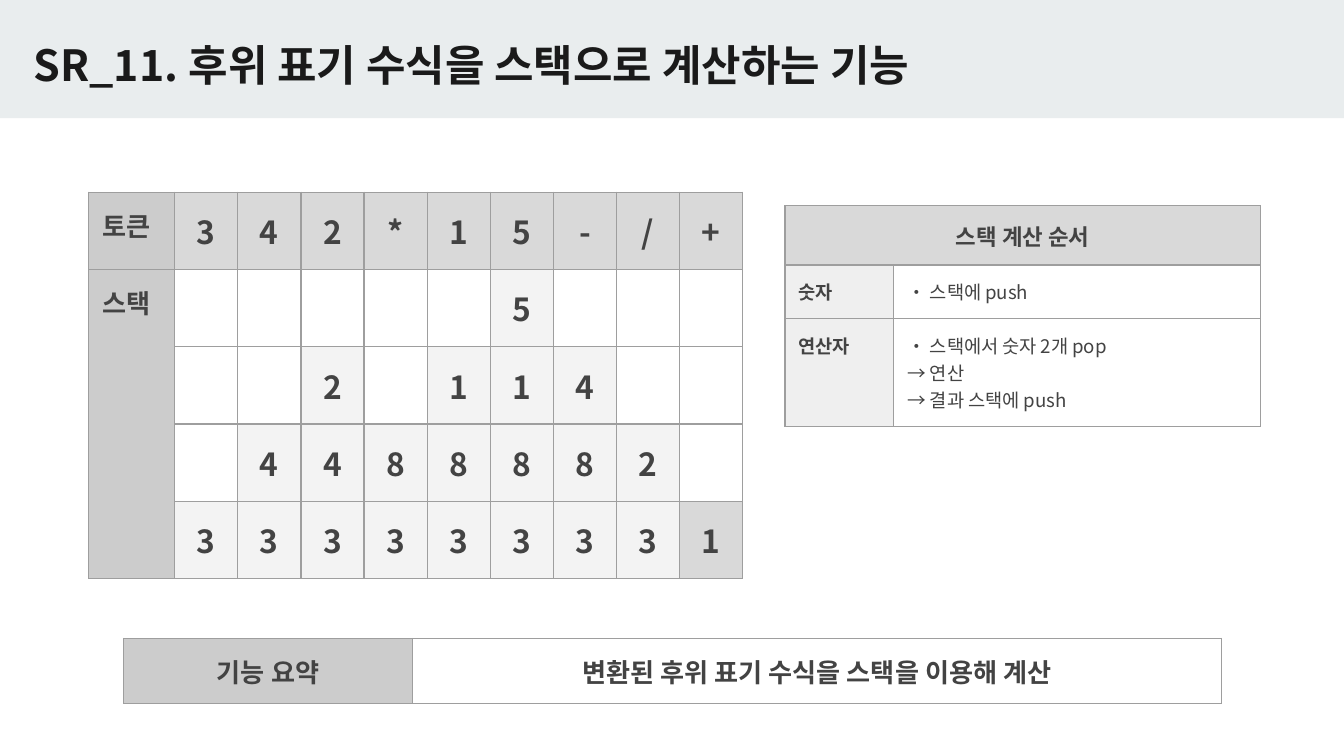
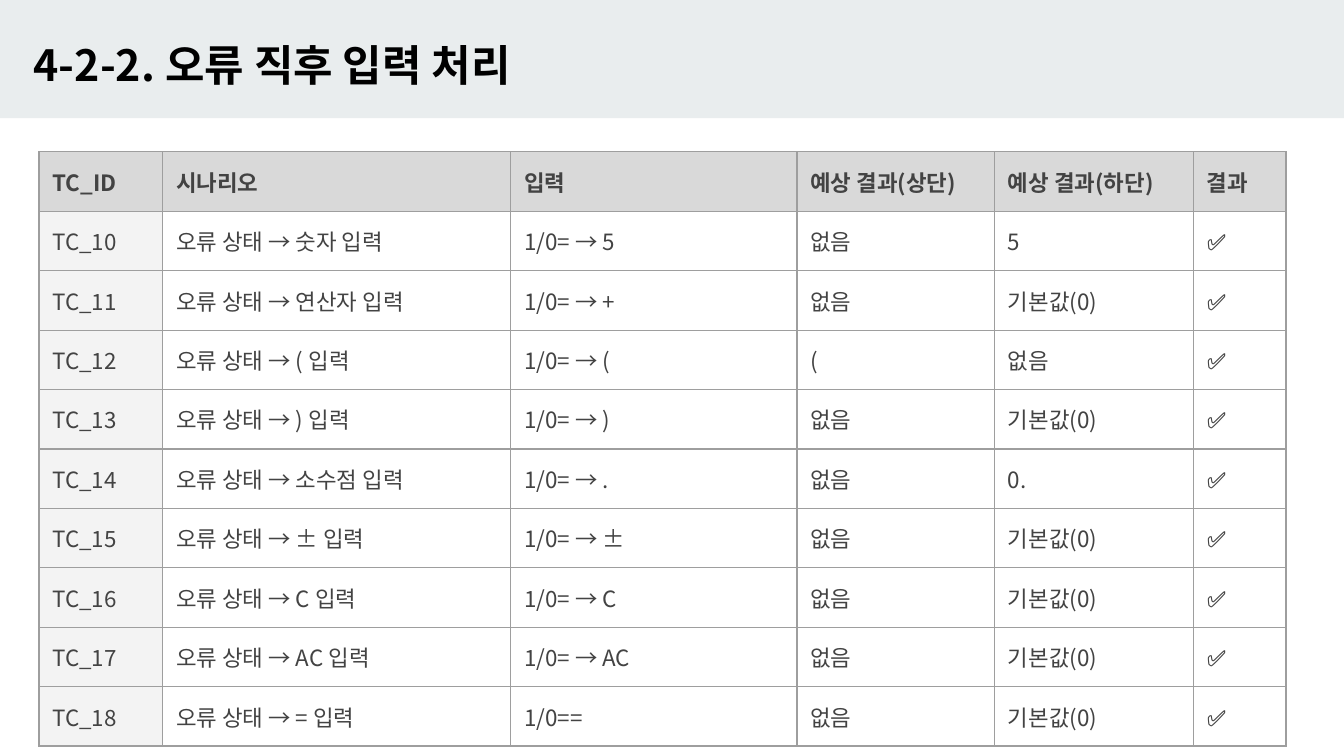
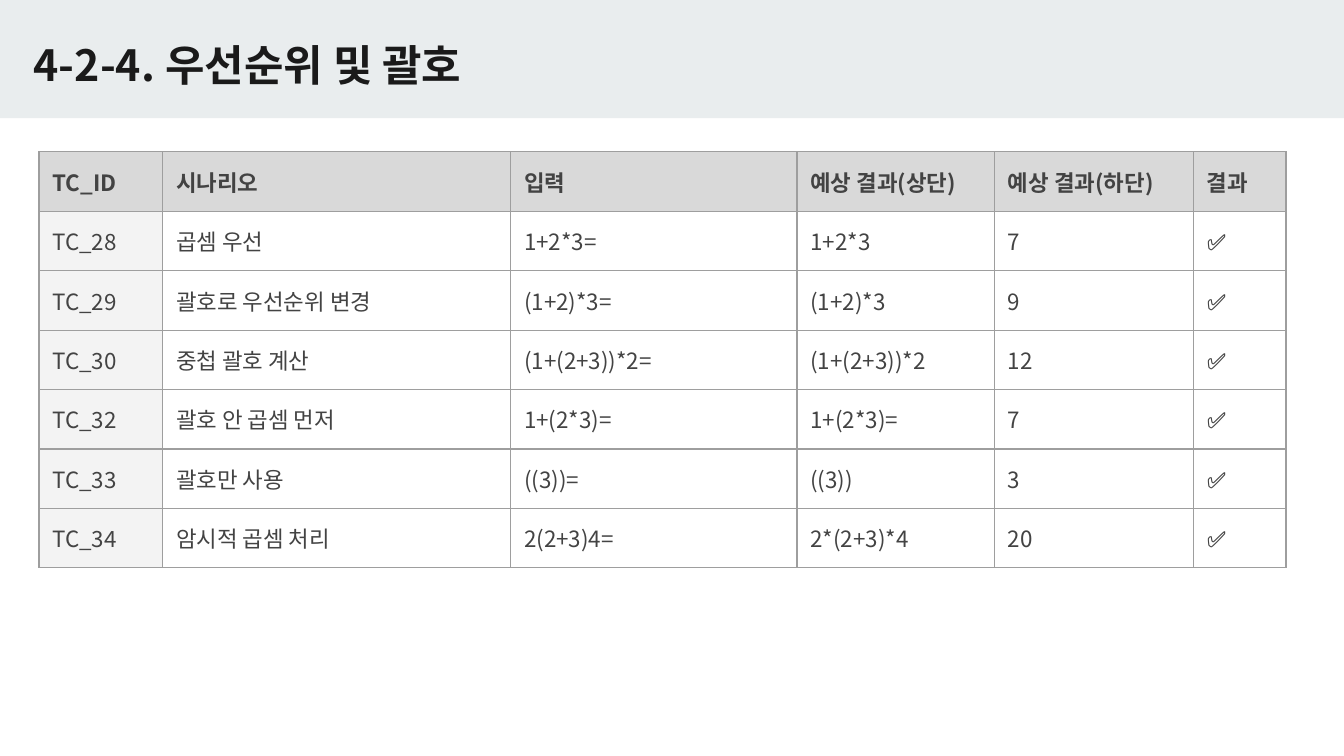
from lxml import etree
from pptx import Presentation
from pptx.dml.color import RGBColor
from pptx.enum.shapes import MSO_SHAPE
from pptx.enum.text import MSO_ANCHOR, MSO_AUTO_SIZE, PP_ALIGN
from pptx.oxml import parse_xml
from pptx.oxml.ns import nsdecls, qn
from pptx.util import Inches, Pt

LEFT, CENTER = PP_ALIGN.LEFT, PP_ALIGN.CENTER
TOP, MIDDLE = MSO_ANCHOR.TOP, MSO_ANCHOR.MIDDLE
RECTANGLE = MSO_SHAPE.RECTANGLE
NO_AUTOFIT = MSO_AUTO_SIZE.NONE

FONT = "Noto Sans CJK KR"
BAND = RGBColor(0xE9, 0xED, 0xEE)
INK = RGBColor(0x1A, 0x1A, 0x1A)
BLACK = RGBColor(0x00, 0x00, 0x00)
BODY = RGBColor(0x43, 0x43, 0x43)
LABEL = RGBColor(0xCC, 0xCC, 0xCC)
HEADER = RGBColor(0xD9, 0xD9, 0xD9)
SIDE = RGBColor(0xEF, 0xEF, 0xEF)
PALE = RGBColor(0xF3, 0xF3, 0xF3)
BORDER = "9E9E9E"
MARGIN = Inches(0.1)


def write(frame, text, size, color, bold, align):
    frame.text = text
    for paragraph in frame.paragraphs:
        paragraph.alignment = align
        font = paragraph.font
        font.size, font.bold, font.name = Pt(size), bold, FONT
        font.color.rgb = color
        properties = paragraph._p.pPr.find(qn("a:defRPr"))
        etree.SubElement(properties, qn("a:ea"), typeface=FONT)


def add_grid(slide, left, top, widths, heights, rows, style):
    table = slide.shapes.add_table(
        len(heights), len(widths), Inches(left), Inches(top),
        Inches(sum(widths)), Inches(sum(heights))).table
    table.first_row = table.horz_banding = False
    for column, width in zip(table.columns, widths):
        column.width = Inches(width)
    for row, height in zip(table.rows, heights):
        row.height = Inches(height)
    for r, texts in enumerate(rows):
        for c, text in enumerate(texts):
            cell = table.cell(r, c)
            fill, size, bold, align, anchor = style(r, c, text)
            write(cell.text_frame, text, size, BODY, bold, align)
            cell.vertical_anchor = anchor
            cell.margin_left = cell.margin_right = MARGIN
            cell.margin_top = cell.margin_bottom = MARGIN
            for side in ("lnL", "lnR", "lnT", "lnB"):
                cell._tc.get_or_add_tcPr().append(parse_xml(
                    f'<a:{side} {nsdecls("a")} w="9525"><a:solidFill>'
                    f'<a:srgbClr val="{BORDER}"/></a:solidFill></a:{side}>'))
            if fill is None:
                cell.fill.background()
            else:
                cell.fill.solid()
                cell.fill.fore_color.rgb = fill
    return table


prs = Presentation()
prs.slide_width, prs.slide_height = Inches(10), Inches(5.625)
title_only = prs.slide_layouts[5]

slides = []
for heading, color in (
    ("SR_11. 후위 표기 수식을 스택으로 계산하는 기능", INK),
    ("4-2-2. 오류 직후 입력 처리", BLACK),
    ("4-2-4. 우선순위 및 괄호", INK),
):
    slide = prs.slides.add_slide(title_only)
    title = slide.shapes.title
    title.left, title.top = Inches(0.15), Inches(0.18)
    title.width, title.height = Inches(8.41), Inches(0.59)
    frame = title.text_frame
    frame.auto_size, frame.word_wrap = NO_AUTOFIT, True
    frame.vertical_anchor = MIDDLE
    frame.margin_left = frame.margin_right = MARGIN
    frame.margin_top = frame.margin_bottom = MARGIN
    write(frame, heading, 23, color, True, LEFT)
    slides.append(slide)
stack_slide, error_slide, priority_slide = slides

header_band = stack_slide.shapes.add_shape(
    RECTANGLE, 0, 0, prs.slide_width, Inches(0.88))
header_band.shadow.inherit = False
header_band.fill.solid()
header_band.fill.fore_color.rgb = BAND
header_band.line.fill.background()
title_only.shapes.element.insert(2, header_band.element)


def_stack_rows = [
    ["토큰", *"342*15-/+"],
    ["스택", *"     5   "],
    ["", *"  2 114  "],
    ["", *" 4488882 "],
    ["", *"333333331"],
]
stack_rows = [[text.strip() for text in row] for row in def_stack_rows]


stack = add_grid(
    stack_slide, 0.66, 1.43, [0.64] + [0.47] * 9, [0.575] * 5, stack_rows,
    lambda r, c, text: (
        (LABEL, 14, True, LEFT, TOP) if c == 0 else
        (HEADER if r == 0 or (r, c) == (4, 9) else PALE if text else None,
         17, True, CENTER, MIDDLE)))
stack.cell(1, 0).merge(stack.cell(4, 0))

add_grid(
    stack_slide, 0.92, 4.75, [2.15, 6.02], [0.48], 
    [["기능 요약", "변환된 후위 표기 수식을 스택을 이용해 계산"]],
    lambda r, c, text: (None if c else LABEL, 14, True, CENTER, TOP if c else MIDDLE))

order = add_grid(
    stack_slide, 5.84, 1.53, [0.81, 2.73], [0.44, 0.4, 0.8],
    [["스택 계산 순서", ""],
     ["숫자", "• 스택에 push"],
     ["연산자", "• 스택에서 숫자 2개 pop\n→ 연산\n→ 결과 스택에 push"]],
    lambda r, c, text: (
        (HEADER, 12, True, CENTER, MIDDLE) if r == 0 else
        (None if c else SIDE, 10, c == 0, LEFT, TOP)))
order.cell(0, 0).merge(order.cell(0, 1))

CASE_HEADINGS = ["TC_ID", "시나리오", "입력", "예상 결과(상단)", "예상 결과(하단)", "결과"]
DEFAULT = "기본값(0)"
error_cases = [
    [f"TC_{number}", f"오류 상태 → {scenario} 입력", entry, upper, lower]
    for number, (scenario, entry, upper, lower) in enumerate([
        ("숫자", "1/0= → 5", "없음", "5"),
        ("연산자", "1/0= → +", "없음", DEFAULT),
        ("(", "1/0= → (", "(", "없음"),
        (")", "1/0= → )", "없음", DEFAULT),
        ("소수점", "1/0= → .", "없음", "0."),
        ("±", "1/0= → ±", "없음", DEFAULT),
        ("C", "1/0= → C", "없음", DEFAULT),
        ("AC", "1/0= → AC", "없음", DEFAULT),
        ("=", "1/0==", "없음", DEFAULT),
    ], start=10)
]
priority_cases = [
    ["TC_28", "곱셈 우선", "1+2*3=", "1+2*3", "7"],
    ["TC_29", "괄호로 우선순위 변경", "(1+2)*3=", "(1+2)*3", "9"],
    ["TC_30", "중첩 괄호 계산", "(1+(2+3))*2=", "(1+(2+3))*2", "12"],
    ["TC_32", "괄호 안 곱셈 먼저", "1+(2*3)=", "1+(2*3)=", "7"],
    ["TC_33", "괄호만 사용", "((3))=", "((3))", "3"],
    ["TC_34", "암시적 곱셈 처리", "2(2+3)4=", "2*(2+3)*4", "20"],
]
for slide, cases in ((error_slide, error_cases), (priority_slide, priority_cases)):
    case_rows = [CASE_HEADINGS] + [case + ["✅"] for case in cases]
    add_grid(
        slide, 0.29, 1.13, [0.92, 2.59, 2.13, 1.47, 1.48, 0.69],
        [0.44] * len(case_rows), case_rows,
        lambda r, c, text: (
            HEADER if r == 0 else PALE if c == 0 else None,
            12, r == 0, LEFT, TOP))

prs.save("out.pptx")
